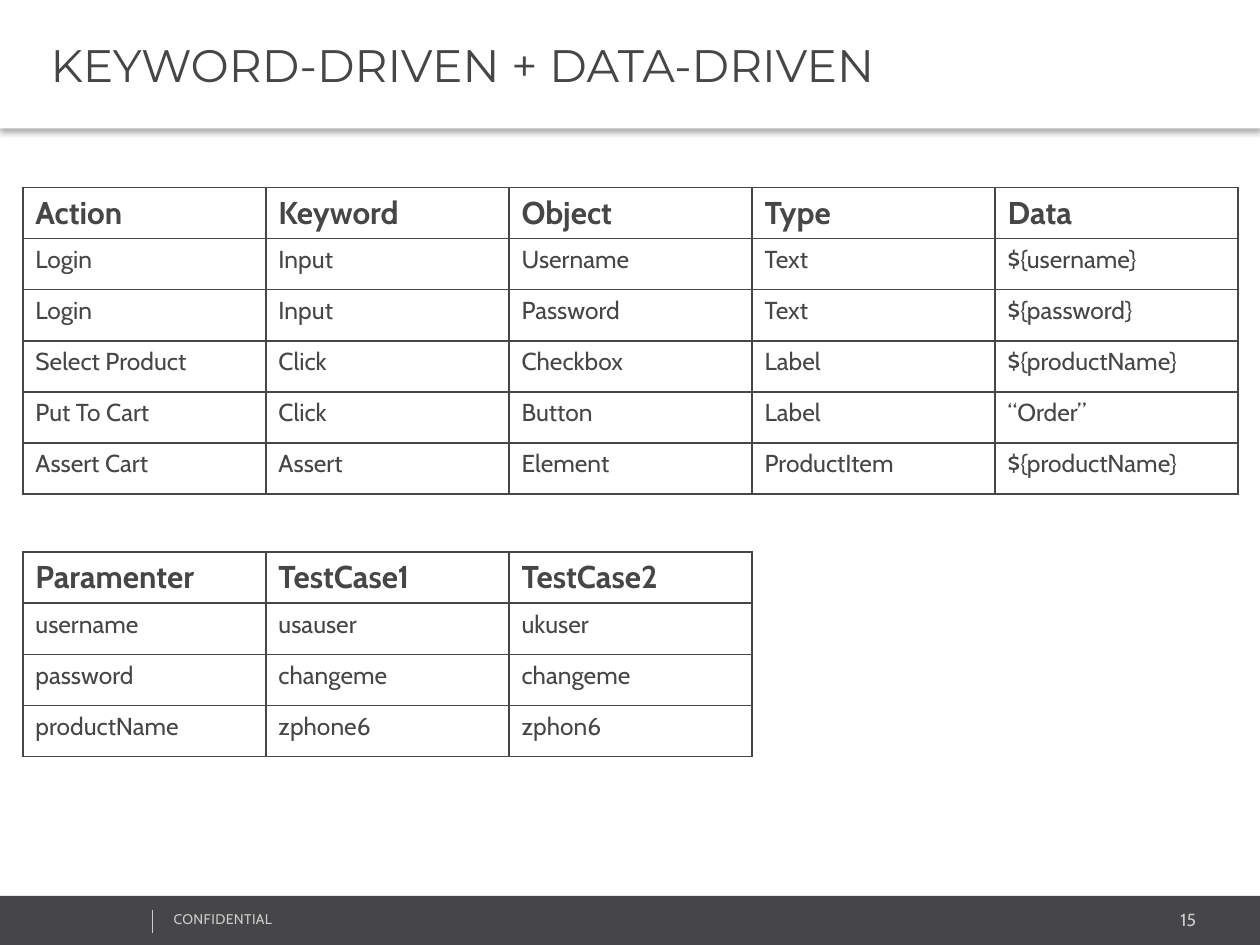
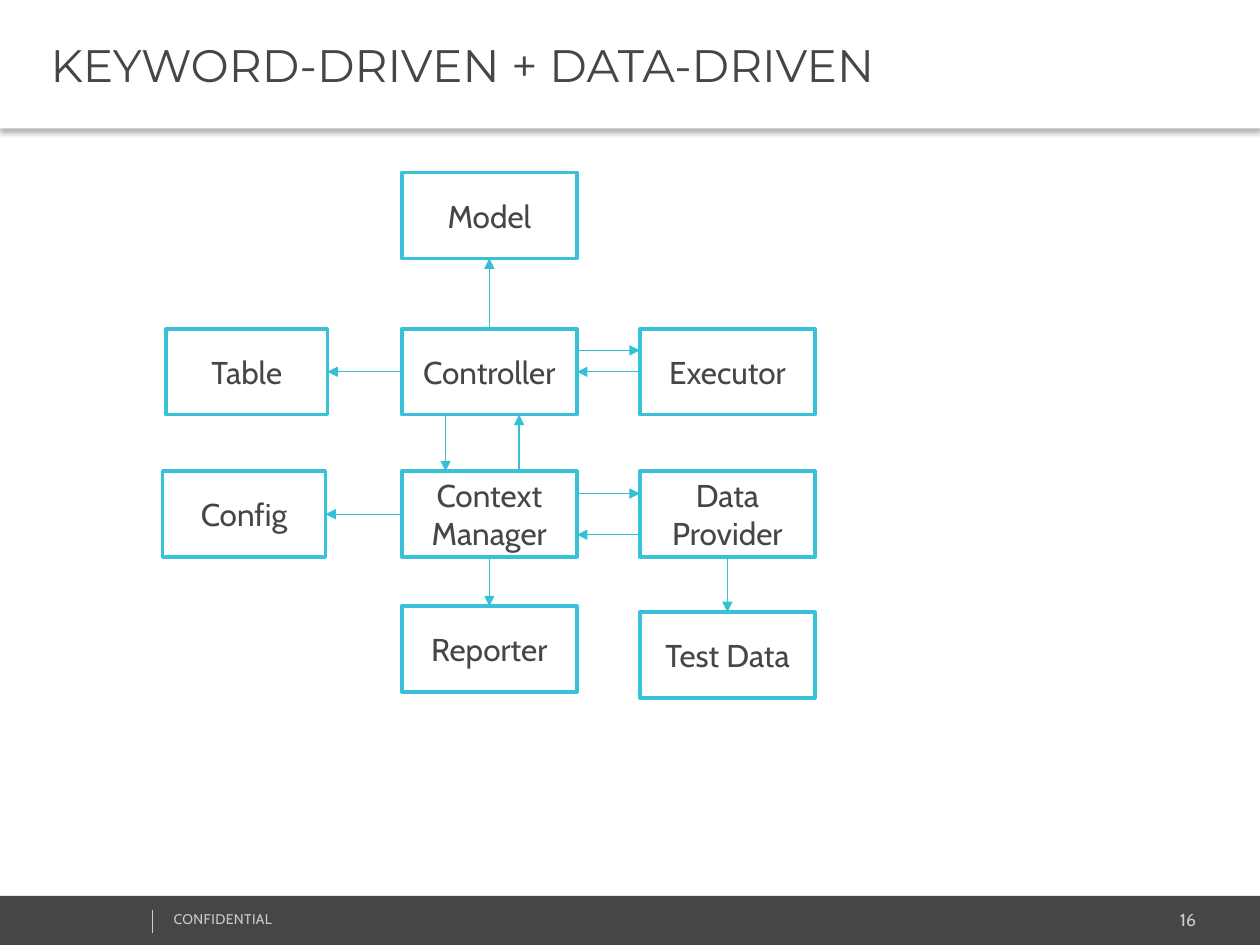
from lxml.etree import SubElement
from pptx import Presentation
from pptx.dml.color import RGBColor
from pptx.enum.shapes import MSO_CONNECTOR, MSO_SHAPE
from pptx.enum.text import MSO_ANCHOR, PP_ALIGN
from pptx.oxml.ns import qn
from pptx.util import Cm, Pt

WIDTH, HEIGHT = 25.4, 19.05
DARK, PALE, WHITE = "464547", "CCCCCC", "FFFFFF"
BOX_LINE, ARROW_LINE = "39C2D7", "34C1D6"
BODY_FONT, TITLE_FONT = "Cabin", "Montserrat"
TITLE = "KEYWORD-DRIVEN + DATA-DRIVEN"
TOP, LEFT, BOTTOM, RIGHT = range(4)

STEPS = [
    ["Action", "Keyword", "Object", "Type", "Data"],
    ["Login", "Input", "Username", "Text", "${username}"],
    ["Login", "Input", "Password", "Text", "${password}"],
    ["Select Product", "Click", "Checkbox", "Label", "${productName}"],
    ["Put To Cart", "Click", "Button", "Label", "“Order”"],
    ["Assert Cart", "Assert", "Element", "ProductItem", "${productName}"],
]
TEST_CASES = [
    ["Paramenter", "TestCase1", "TestCase2"],
    ["username", "usauser", "ukuser"],
    ["password", "changeme", "changeme"],
    ["productName", "zphone6", "zphon6"],
]

# Left, top and width of each box, relative to the diagram
MIDDLE, FAR, BOX_WIDTH, BOX_HEIGHT = 4.82, 9.62, 3.53, 1.73
BOXES = {
    "Model": (MIDDLE, 0, BOX_WIDTH),
    "Table": (0.07, 3.15, 3.25),
    "Controller": (MIDDLE, 3.15, BOX_WIDTH),
    "Executor": (FAR, 3.15, BOX_WIDTH),
    "Config": (0, 6.02, 3.28),
    "Context Manager": (MIDDLE, 6.02, BOX_WIDTH),
    "Data Provider": (FAR, 6.02, BOX_WIDTH),
    "Reporter": (MIDDLE, 8.74, BOX_WIDTH),
    "Test Data": (FAR, 8.86, BOX_WIDTH),
}
# Start, side it leaves, end, position along that side (0.5 is the middle)
ARROWS = [
    ("Controller", LEFT, "Table", 0.5),
    ("Controller", TOP, "Model", 0.5),
    ("Controller", RIGHT, "Executor", 0.25),
    ("Executor", LEFT, "Controller", 0.5),
    ("Controller", BOTTOM, "Context Manager", 0.25),
    ("Context Manager", TOP, "Controller", 0.67),
    ("Context Manager", LEFT, "Config", 0.5),
    ("Context Manager", RIGHT, "Data Provider", 0.26),
    ("Data Provider", LEFT, "Context Manager", 0.74),
    ("Context Manager", BOTTOM, "Reporter", 0.5),
    ("Data Provider", BOTTOM, "Test Data", 0.5),
]


def color(value):
    return RGBColor.from_string(value)


def write(frame, text, size, ink=DARK, font=BODY_FONT, align=PP_ALIGN.LEFT, bold=False):
    """Put one formatted paragraph in the frame and return its run."""
    frame.word_wrap = True
    frame.text = text
    para = frame.paragraphs[0]
    para.alignment = align
    span = para.runs[0]
    span.font.name = font
    span.font.size = Pt(size)
    span.font.bold = bold
    span.font.color.rgb = color(ink)
    return span


def add_rectangle(page, left, top, width, height, fill, line=None):
    box = page.shapes.add_shape(
        MSO_SHAPE.RECTANGLE, Cm(left), Cm(top), Cm(width), Cm(height))
    box.shadow.inherit = False
    box.fill.solid()
    box.fill.fore_color.rgb = color(fill)
    if line:
        box.line.color.rgb = color(line)
        box.line.width = Pt(2)
    else:
        box.line.fill.background()
    box.text_frame.vertical_anchor = MSO_ANCHOR.MIDDLE
    return box


def add_line(page, start, end, ink, width):
    line = page.shapes.add_connector(MSO_CONNECTOR.STRAIGHT, *start, *end)
    line.line.color.rgb = color(ink)
    line.line.width = Pt(width)
    SubElement(line.element.spPr, qn("a:effectLst"))
    return line


def add_label(page, left, top, width, height, text, size, align=PP_ALIGN.LEFT):
    label = page.shapes.add_textbox(Cm(left), Cm(top), Cm(width), Cm(height))
    return write(label.text_frame, text, size, PALE, align=align)


def add_footer(page, left, top, width, height, number):
    add_rectangle(page, left, top, width, height, DARK)
    add_label(page, left + 20.22, top + 0.15, 4.14, 0.69, str(number), 10, PP_ALIGN.RIGHT)
    span = add_label(page, left + 3.25, top + 0.18, 6.43, 0.61, "CONFIDENTIAL", 8)
    span.font._element.set("spc", "20")
    divider = Cm(left + 3.07)
    add_line(page, (divider, Cm(top + 0.28)), (divider, Cm(top + 0.74)), PALE, 0.25)


def add_title_band(page, left, top, width, height, text):
    band = add_rectangle(page, left, top, width, height, WHITE)
    effects = band.element.spPr.find(qn("a:effectLst"))
    shadow = SubElement(effects, qn("a:outerShdw"), blurRad=str(Pt(3.1)),
                        dist=str(Pt(2)), dir="5400000", algn="t", rotWithShape="0")
    black = SubElement(shadow, qn("a:srgbClr"), val="000000")
    SubElement(black, qn("a:alpha"), val="30000")
    band.text_frame.margin_left = Cm(1.02)
    write(band.text_frame, text, 26, font=TITLE_FONT)


def add_borders(cell):
    properties = cell._tc.get_or_add_tcPr()
    for side in ("lnL", "lnR", "lnT", "lnB"):
        border = SubElement(properties, qn(f"a:{side}"), w=str(Pt(1)))
        fill = SubElement(border, qn("a:solidFill"))
        SubElement(fill, qn("a:srgbClr"), val=DARK)


def add_grid(page, left, top, rows, column_width=4.9, row_height=1.03):
    """Draw a bordered table whose first row is a bold heading."""
    count = len(rows[0])
    table = page.shapes.add_table(
        len(rows), count, Cm(left), Cm(top),
        Cm(count * column_width), Cm(len(rows) * row_height)).table
    for column in table.columns:
        column.width = Cm(column_width)
    for row_number, texts in enumerate(rows):
        table.rows[row_number].height = Cm(row_height)
        heading = row_number == 0
        for column_number, text in enumerate(texts):
            cell = table.cell(row_number, column_number)
            add_borders(cell)
            cell.fill.solid()
            cell.fill.fore_color.rgb = color(WHITE)
            write(cell.text_frame, text, 18 if heading else 14, bold=heading)


def side_point(box, side, share):
    """Return the point at the given share of one side of the box."""
    if side in (TOP, BOTTOM):
        return (box.left + int(box.width * share),
                box.top + (box.height if side == BOTTOM else 0))
    return (box.left + (box.width if side == RIGHT else 0),
            box.top + int(box.height * share))


def add_arrow(page, start, side, end, share):
    facing = (side + 2) % 4
    arrow = add_line(page, side_point(start, side, share),
                     side_point(end, facing, share), ARROW_LINE, 0.75)
    if share == 0.5:
        arrow.begin_connect(start, side)
        arrow.end_connect(end, facing)
    SubElement(arrow.line._get_or_add_ln(), qn("a:tailEnd"), type="triangle")


def add_diagram(page, left, top):
    boxes = {}
    for name, (across, down, width) in BOXES.items():
        box = add_rectangle(page, left + across, top + down, width, BOX_HEIGHT,
                            WHITE, BOX_LINE)
        write(box.text_frame, name, 18, align=PP_ALIGN.CENTER)
        boxes[name] = box
    for start, side, end, share in ARROWS:
        add_arrow(page, boxes[start], side, boxes[end], share)


def add_page(deck, number):
    page = deck.slides.add_slide(deck.slide_layouts[6])
    add_footer(page, 0, 18.06, WIDTH, HEIGHT - 18.06, number)
    add_title_band(page, 0, 0, WIDTH, 2.59, TITLE)
    return page


def main():
    deck = Presentation()
    deck.slide_width, deck.slide_height = Cm(WIDTH), Cm(HEIGHT)

    tables_page = add_page(deck, 15)
    add_grid(tables_page, 0.46, 3.78, STEPS)
    add_grid(tables_page, 0.46, 11.13, TEST_CASES)

    diagram_page = add_page(deck, 16)
    add_diagram(diagram_page, 3.28, 3.48)

    deck.save("out.pptx")


if __name__ == "__main__":
    main()
